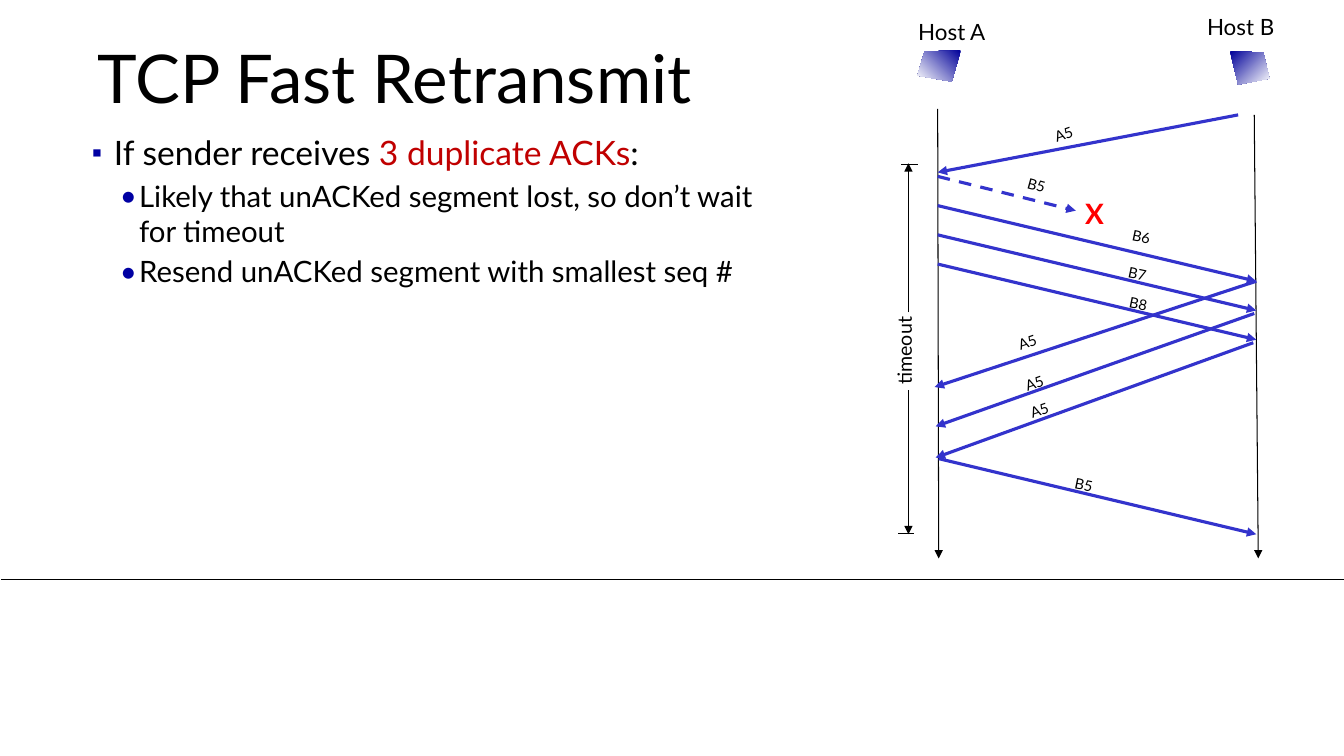
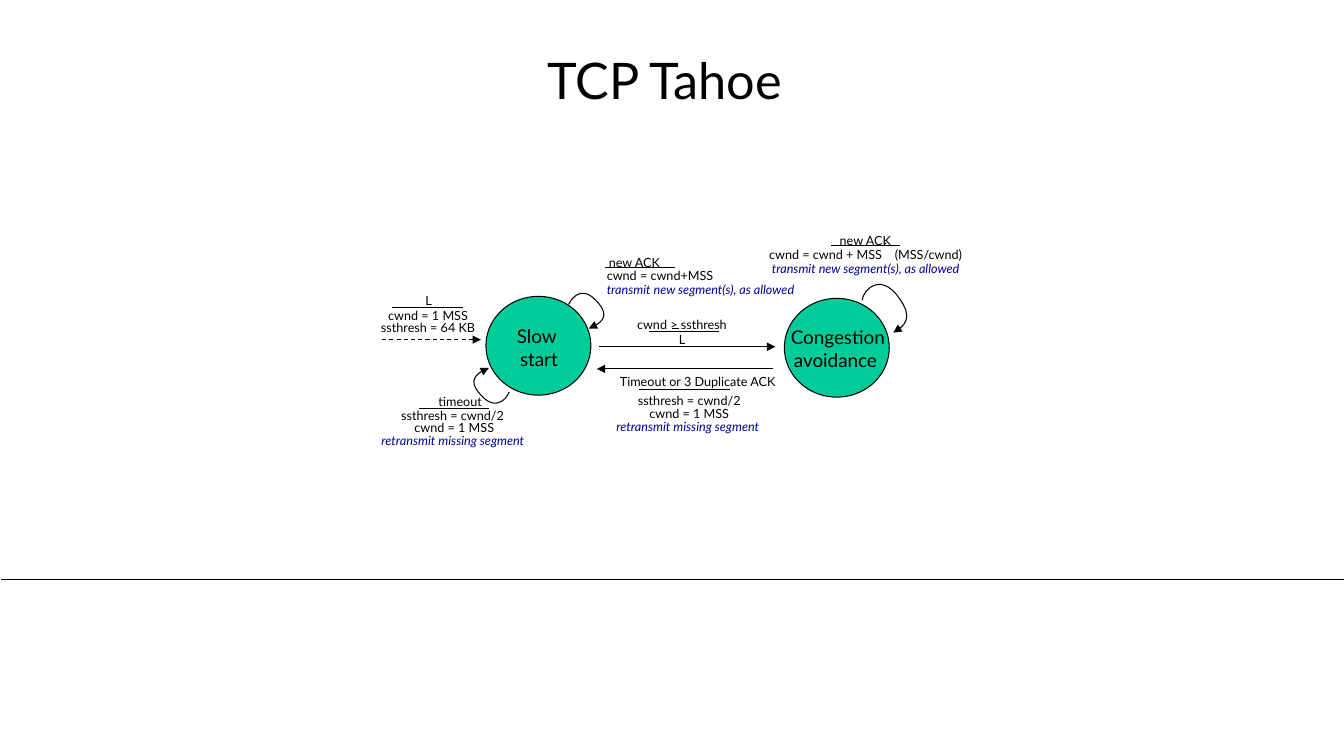
import pptx
import pptx.dml.color
import pptx.enum.dml
import pptx.enum.shapes
import pptx.enum.text
import pptx.util
from lxml import etree
from pptx.oxml.ns import qn

RGBColor = pptx.dml.color.RGBColor
Pt = pptx.util.Pt
ALIGN = pptx.enum.text.PP_ALIGN
AUTO_SIZE = pptx.enum.text.MSO_AUTO_SIZE
SHAPE = pptx.enum.shapes.MSO_SHAPE

PX = 9144  # 100 px to the inch
WIDTH, HEIGHT = 1333, 750
FONT = "Lato"
BLACK = RGBColor(0x00, 0x00, 0x00)
WHITE = RGBColor(0xFF, 0xFF, 0xFF)
NAVY = RGBColor(0x00, 0x00, 0x99)
BULLET_BLUE = RGBColor(0x00, 0x00, 0xA3)
MESSAGE_BLUE = RGBColor(0x33, 0x33, 0xCC)
RED = RGBColor(0xFF, 0x00, 0x00)
DARK_RED = RGBColor(0xC0, 0x00, 0x00)
GREEN = RGBColor(0x00, 0xCC, 0x99)

FOOTER_RULE = ((1, 575), (WIDTH, 575))
WIDE_GAP = "|"

# Fast retransmit: level, runs of (text, colour)
BULLETS = [
    (0, [("If sender receives ", BLACK), ("3 duplicate ACKs", DARK_RED), (":", BLACK)]),
    (1, [("Likely that unACKed segment lost, so don’t wait for timeout", BLACK)]),
    (1, [("Resend unACKed segment with smallest seq #", BLACK)]),
]
# By level: mark, mark size in percent, text size, left margin, hanging indent, space before
BULLET_STYLES = [("▪", 80, 24, 32, 22, 7.5), ("•", 100, 21, 57, 19, 3.8)]

TIMELINES = [((930, 108), (931, 554)), ((1244, 114), (1248, 554))]
TIMEOUT_ARROWS = [((901, 310), (901, 162)), ((901, 387), (901, 530))]
TIMEOUT_ENDS = [((894, 163), (910, 163)), ((891, 529), (907, 529))]
# Start, end, label, label corner, label rotation
MESSAGES = [
    ((1228, 114), (930, 171), "A5", (1036, 119), 340.8),
    ((930, 204), (1246, 279), "B6", (1113, 221), 11.8),
    ((930, 233), (1246, 308), "B7", (1109, 258), 11.8),
    ((930, 262), (1246, 337), "B8", (1110, 288), 11.8),
    ((1246, 279), (927, 384), "A5", (1000, 326), 340.8),
    ((1244, 311), (928, 423), "A5", (1007, 366), 340.8),
    ((1243, 340), (928, 454), "A5", (1012, 393), 340.8),
    ((931, 455), (1246, 530), "B5", (1056, 467), 11.8),
]
LOST_MESSAGE = ((930, 175), (1067, 209), "B5", (1009, 170), 15.4)
# Outline and gradient angle
HOST_ICONS = [
    ([(953, 50), (917, 51), (910, 75), (944, 81)], 225),
    ([(1220, 51), (1253, 52), (1259, 78), (1228, 84)], 315),
]
# Box, text, size, rotation
DIAGRAM_LABELS = [
    ((900, 13, 88, 37), "Host A", 16, 0),
    ((1187, 8, 87, 37), "Host B", 16, 0),
    ((847, 326, 110, 44), "timeout", 14, 270),
]

# Tahoe: circle corner, label box, label lines
STATES = [
    ((482, 294), (502, 317, 65, 56), ["Slow ", "start"]),
    ((778, 296), (772, 318, 118, 78), ["Congestion", "avoidance "]),
]
# Box, text
EVENTS = [
    ((605, 366, 179, 25), "Timeout or 3 Duplicate ACK"),
    ((622, 309, 111, 25), "cwnd > ssthresh"),
    ((823, 226, 72, 25), "new ACK"),
    ((867, 225, 24, 25), "."),
    ((425, 386, 64, 25), "timeout"),
    ((594, 248, 72, 25), "new ACK"),
    ((412, 286, 27, 25), "L"),
]
# Box, alignment, line spacing, assignments, segment action
ACTIONS = [
    ((594, 387, 179, 49), ALIGN.CENTER, 0.85,
     ["ssthresh = cwnd/2", "cwnd = 1 MSS"], "retransmit missing segment "),
    ((663, 327, 27, 22), ALIGN.CENTER, 0.8, ["L"], None),
    ((747, 242, 223, 49), ALIGN.CENTER, 0.9,
     ["cwnd = cwnd + MSS|(MSS/cwnd)"], "transmit new segment(s), as allowed"),
    ((361, 403, 179, 46), ALIGN.CENTER, 0.8,
     ["ssthresh = cwnd/2 ", "cwnd = 1 MSS"], "retransmit missing segment "),
    ((592, 263, 223, 49), ALIGN.LEFT, 0.9,
     ["cwnd = cwnd+MSS"], "transmit new segment(s), as allowed"),
    ((367, 303, 115, 34), ALIGN.CENTER, 0.8, ["cwnd = 1 MSS", "ssthresh = 64 KB"], None),
]
# Left, right, height of the bars between event and action
EVENT_BARS = [(634, 724, 386), (644, 713, 329), (824, 893, 244),
              (416, 485, 405), (600, 669, 265), (389, 459, 305)]
GREATER_EQUAL_BAR = (667, 673, 326)
TRANSITIONS = [((767, 366), (592, 366)), ((594, 344), (769, 344))]
INITIAL_TRANSITION = ((379, 337), (477, 337))
# Two Bézier segments each, sharing their middle point
SELF_LOOPS = [
    [(855, 298), (857, 287), (872, 272), (889, 292), (905, 312), (901, 322), (886, 330)],
    [(564, 302), (568, 294), (578, 284), (591, 298), (605, 312), (599, 320), (584, 326)],
    [(505, 389), (502, 397), (491, 407), (478, 393), (464, 379), (470, 371), (485, 365)],
]


def scaled(values):
    return [round(value * PX) for value in values]


def style_font(font, size, color=BLACK, bold=False, italic=False):
    font.name, font.size, font.bold, font.italic = FONT, Pt(size), bold, italic
    font.color.rgb = color


def style_line(line, color, width, arrow=False, dashed=False):
    line.color.rgb = color
    line.width = Pt(width)
    if dashed:
        line.dash_style = pptx.enum.dml.MSO_LINE.DASH
    if arrow:
        etree.SubElement(line._get_or_add_ln(), qn("a:tailEnd"), type="triangle")


def add_line(slide, start, end, color=BLACK, width=0.75, arrow=False, dashed=False):
    connector = slide.shapes.add_connector(
        pptx.enum.shapes.MSO_CONNECTOR.STRAIGHT, *scaled(start + end))
    style_line(connector.line, color, width, arrow, dashed)
    etree.SubElement(connector.element.spPr, qn("a:effectLst"))
    return connector


def add_title(slide, text, box, size, align):
    title = slide.shapes.title
    title.left, title.top, title.width, title.height = scaled(box)
    frame = title.text_frame
    frame.text = text
    frame.auto_size = AUTO_SIZE.NONE
    frame.vertical_anchor = pptx.enum.text.MSO_ANCHOR.MIDDLE
    paragraph = frame.paragraphs[0]
    paragraph.alignment = align
    paragraph.line_spacing = 0.9
    style_font(paragraph.font, size)


def add_label(slide, box, lines, size, align=ALIGN.CENTER, spacing=None,
              rotation=0, color=BLACK, bold=False, action=None):
    """Add unwrapped text; an action becomes a last line in navy italics."""
    shape = slide.shapes.add_textbox(*scaled(box))
    shape.rotation = rotation
    frame = shape.text_frame
    frame.word_wrap = False
    frame.auto_size = AUTO_SIZE.SHAPE_TO_FIT_TEXT
    styled = [(line, color, False) for line in lines]
    if action:
        styled.append((action, NAVY, True))
    for index, (text, line_color, italic) in enumerate(styled):
        paragraph = frame.add_paragraph() if index else frame.paragraphs[0]
        before, gap, after = text.partition(WIDE_GAP)
        paragraph.add_run().text = before
        if gap:
            space = paragraph.add_run()
            space.text = " "
            space.font._element.set("spc", "680")
            paragraph.add_run().text = after
        paragraph.alignment = align
        if spacing:
            paragraph.line_spacing = spacing
        style_font(paragraph.font, size, line_color, bold, italic)


def add_bullets(slide, box):
    frame = slide.shapes.add_textbox(*scaled(box)).text_frame
    frame.word_wrap = True
    frame.margin_left = frame.margin_right = 7 * PX
    frame.margin_top = frame.margin_bottom = 4 * PX
    for index, (level, runs) in enumerate(BULLETS):
        mark, percent, size, margin, hanging, before = BULLET_STYLES[level]
        paragraph = frame.add_paragraph() if index else frame.paragraphs[0]
        paragraph.level = level
        properties = paragraph._p.get_or_add_pPr()
        properties.set("marL", str(margin * PX))
        properties.set("indent", str(-hanging * PX))
        bullet_color = etree.SubElement(properties, qn("a:buClr"))
        etree.SubElement(bullet_color, qn("a:srgbClr"), val=str(BULLET_BLUE))
        etree.SubElement(properties, qn("a:buSzPct"), val=str(percent * 1000))
        etree.SubElement(properties, qn("a:buFont"), typeface=FONT)
        etree.SubElement(properties, qn("a:buChar"), char=mark)
        if index:
            paragraph.space_before = Pt(before)
        style_font(paragraph.font, size)
        for text, color in runs:
            run = paragraph.add_run()
            run.text = text
            if color != BLACK:
                run.font.color.rgb = color


def add_outline(slide, points, close):
    builder = slide.shapes.build_freeform(*scaled(points[0]), scale=1.0)
    builder.add_line_segments([scaled(point) for point in points[1:]], close=close)
    shape = builder.convert_to_shape()
    shape.shadow.inherit = False
    return shape


def bezier_points(controls, steps=12):
    """Sample a chain of cubic Bézier segments."""
    points = [controls[0]]
    for first in range(0, len(controls) - 1, 3):
        segment = controls[first:first + 4]
        for step in range(1, steps + 1):
            t = step / steps
            weights = ((1 - t) ** 3, 3 * t * (1 - t) ** 2, 3 * t * t * (1 - t), t ** 3)
            points.append(tuple(sum(weight * point[axis] for weight, point
                                    in zip(weights, segment)) for axis in (0, 1)))
    return points


def build_retransmit(slide):
    add_title(slide, "TCP Fast Retransmit", (87, 32, 1246, 98), 48, ALIGN.LEFT)
    for start, end in TIMELINES + TIMEOUT_ARROWS:
        add_line(slide, start, end, arrow=True)
    for start, end in TIMEOUT_ENDS:
        add_line(slide, start, end)
    for points, angle in HOST_ICONS:
        icon = add_outline(slide, points, close=True)
        icon.line.fill.background()
        icon.fill.gradient()
        icon.fill.gradient_angle = angle
        for stop, color, position in zip(icon.fill.gradient_stops, (NAVY, WHITE), (0, 1)):
            stop.color.rgb = color
            stop.position = position
    for box, text, size, rotation in DIAGRAM_LABELS:
        add_label(slide, box, [text], size, rotation=rotation)
    for message in MESSAGES + [LOST_MESSAGE]:
        start, end, text, corner, rotation = message
        add_line(slide, start, end, MESSAGE_BLUE, 2.25, arrow=True,
                 dashed=message is LOST_MESSAGE)
        add_label(slide, corner + (38, 28), [text], 10.5, rotation=rotation)
    add_label(slide, (1066, 190, 39, 43), ["X"], 20, color=RED, bold=True)
    add_bullets(slide, (74, 127, 694, 428))


def build_tahoe(slide):
    add_title(slide, "TCP Tahoe", (119, 46, 1080, 73), 36, ALIGN.CENTER)
    for corner, label_box, lines in STATES:
        circle = slide.shapes.add_shape(SHAPE.OVAL, *scaled(corner + (104, 98)))
        circle.shadow.inherit = False
        circle.fill.solid()
        circle.fill.fore_color.rgb = GREEN
        style_line(circle.line, BLACK, 0.75)
        add_label(slide, label_box, lines, 13.5)
    for controls in SELF_LOOPS:
        loop = add_outline(slide, bezier_points(controls), close=False)
        loop.fill.background()
        style_line(loop.line, BLACK, 0.75, arrow=True)
    for start, end in TRANSITIONS:
        add_line(slide, start, end, arrow=True)
    add_line(slide, *INITIAL_TRANSITION, arrow=True, dashed=True)
    for left, right, height in EVENT_BARS + [GREATER_EQUAL_BAR]:
        add_line(slide, (left, height), (right, height))
    for box, text in EVENTS:
        add_label(slide, box, [text], 9, ALIGN.LEFT)
    for box, align, spacing, lines, action in ACTIONS:
        add_label(slide, box, lines, 9, align, spacing, action=action)


def main():
    presentation = pptx.Presentation()
    presentation.slide_width, presentation.slide_height = scaled((WIDTH, HEIGHT))
    layout = presentation.slide_layouts.get_by_name("Title Only")
    slides = [presentation.slides.add_slide(layout) for _ in range(2)]
    footer_rule = add_line(slides[0], *FOOTER_RULE, width=0.5)
    layout.shapes.element.append(footer_rule.element)
    build_retransmit(slides[0])
    build_tahoe(slides[1])
    presentation.save("out.pptx")


if __name__ == "__main__":
    main()
